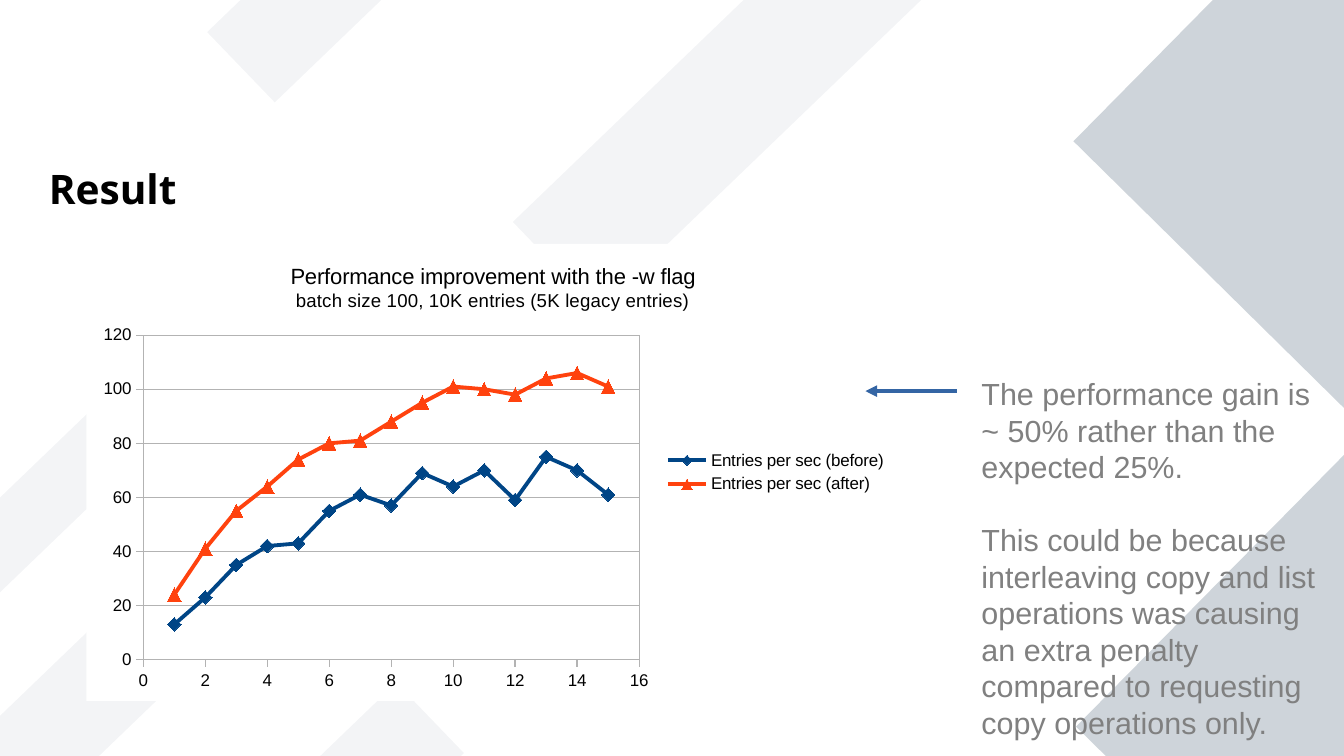
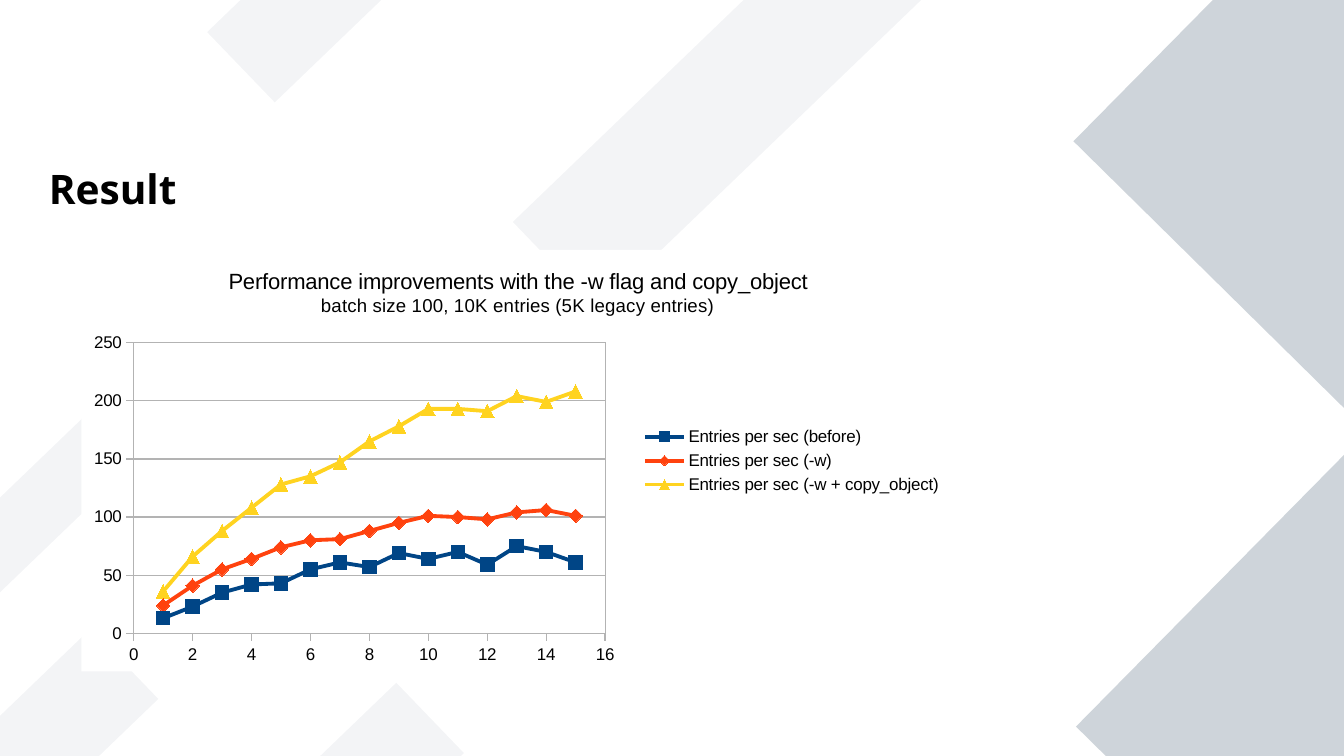
from lxml import etree
from pptx import Presentation
from pptx.chart.data import XyChartData
from pptx.dml.color import RGBColor
from pptx.enum.chart import XL_CHART_TYPE, XL_LEGEND_POSITION, XL_MARKER_STYLE, XL_TICK_MARK
from pptx.enum.shapes import MSO_CONNECTOR, MSO_SHAPE
from pptx.enum.text import MSO_ANCHOR, MSO_AUTO_SIZE, PP_ALIGN
from pptx.oxml import parse_xml
from pptx.oxml.ns import nsdecls, qn
from pptx.util import Pt

SCATTER = XL_CHART_TYPE.XY_SCATTER_LINES
RIGHT = XL_LEGEND_POSITION.RIGHT
OUTSIDE, NO_TICK = XL_TICK_MARK.OUTSIDE, XL_TICK_MARK.NONE
SQUARE, DIAMOND, TRIANGLE = XL_MARKER_STYLE.SQUARE, XL_MARKER_STYLE.DIAMOND, XL_MARKER_STYLE.TRIANGLE
RECTANGLE, STRAIGHT = MSO_SHAPE.RECTANGLE, MSO_CONNECTOR.STRAIGHT
TOP, LEFT, NO_FIT = MSO_ANCHOR.TOP, PP_ALIGN.LEFT, MSO_AUTO_SIZE.NONE

WHITE, BLACK, GRAY = "FFFFFF", "000000", "808080"
DIAMOND_GRAY, BAND_BLUE, GRID_GRAY, ARROW_BLUE = "CED4DA", "8D99AE", "B3B3B3", "3465A4"
NAVY, ORANGE, YELLOW = "004586", "FF420E", "FFD320"

TITLE_FONT = {"name": "Noto Sans", "size": Pt(24), "bold": True}
NOTE_FONT = {"name": "Arial", "size": Pt(18), "bold": False}
CHART_FONT = {"name": "Arial", "size": Pt(10), "bold": False}
CHART_TITLE_SIZES = (13, 11)


def color(hex_string):
    return RGBColor.from_string(hex_string)


def style_font(font, settings, hex_string):
    for name, value in settings.items():
        setattr(font, name, value)
    font.color.rgb = color(hex_string)


# left, top, width, height, rotation, fill, opacity in percent
DECORATIONS = [
    (681, -31.7, 228, 228, 314.6, DIAMOND_GRAY, 100),
    (682.5, 314, 228, 228, 314.6, DIAMOND_GRAY, 100),
    (78.5, 466, 204, 57.6, 316.1, BAND_BLUE, 10),
    (-102, 434, 204, 57.6, 316.1, BAND_BLUE, 10),
    (290, 26.6, 272, 72.7, 316.1, BAND_BLUE, 10),
    (113.8, -59.8, 204, 57.6, 316.1, BAND_BLUE, 10),
    (-57.6, 259, 204, 40.3, 316.1, BAND_BLUE, 10),
]

BEFORE = [13, 23, 35, 42, 43, 55, 61, 57, 69, 64, 70, 59, 75, 70, 61]
WITH_FLAG = [24, 41, 55, 64, 74, 80, 81, 88, 95, 101, 100, 98, 104, 106, 101]
WITH_COPY = [36, 66, 88, 108, 128, 135, 147, 165, 178, 193, 193, 191, 204, 199, 208]
SUBTITLE = "batch size 100, 10K entries (5K legacy entries)"

RESULTS = [
    {
        "title": "Performance improvement with the -w flag",
        "frame": (51, 144, 480, 270),
        "plot": {"x": 0.07, "y": 0.2, "w": 0.61, "h": 0.71},
        "top_value": 120,
        "step": 20,
        "series": [
            ("Entries per sec (before)", BEFORE, NAVY, DIAMOND),
            ("Entries per sec (after)", WITH_FLAG, ORANGE, TRIANGLE),
        ],
    },
    {
        "title": "Performance improvements with the -w flag and copy_object",
        "frame": (48, 147.6, 515.5, 249),
        "plot": {"x": 0.06, "y": 0.22, "w": 0.54, "h": 0.69},
        "top_value": 250,
        "step": 50,
        "series": [
            ("Entries per sec (before)", BEFORE, NAVY, SQUARE),
            ("Entries per sec (-w)", WITH_FLAG, ORANGE, DIAMOND),
            ("Entries per sec (-w + copy_object)", WITH_COPY, YELLOW, TRIANGLE),
        ],
    },
]

NOTES = [
    "The performance gain is ~ 50% rather than the expected 25%.",
    "This could be because interleaving copy and list operations was causing an extra penalty "
    "compared to requesting copy operations only.",
]

deck = Presentation()
deck.slide_width, deck.slide_height = Pt(793.5), Pt(446.5)

# Shared layout: title position and background decorations
layout = deck.slide_layouts[5]
layout_title = layout.placeholders[0]
layout_title.left, layout_title.top = Pt(21.6), Pt(93)
layout_title.width, layout_title.height = Pt(590), Pt(51)
pages = [deck.slides.add_slide(layout) for result in RESULTS]

# Layouts cannot add shapes, so each one is made on a page and moved
for index, (left, top, width, height, rotation, fill, opacity) in enumerate(DECORATIONS):
    shape = pages[0].shapes.add_shape(RECTANGLE, Pt(left), Pt(top), Pt(width), Pt(height))
    shape.rotation = rotation
    shape.shadow.inherit = False
    shape.line.fill.background()
    shape.fill.solid()
    shape.fill.fore_color.rgb = color(fill)
    if opacity < 100:
        fill_color = shape._element.spPr.find(".//" + qn("a:srgbClr"))
        etree.SubElement(fill_color, qn("a:alpha"), val=str(opacity * 1000))
    shape.name = f"Decoration {index + 1}"
    shape._element.nvSpPr.cNvPr.set("id", str(20 + index))
    layout.shapes._spTree.insert(2 + index, shape._element)

# Title and chart of each page
for page, result in zip(pages, RESULTS):
    title = page.shapes.title.text_frame
    title.text = "Result"
    title.vertical_anchor, title.auto_size = TOP, NO_FIT
    title.paragraphs[0].alignment = LEFT
    style_font(title.paragraphs[0].runs[0].font, TITLE_FONT, BLACK)

    data = XyChartData()
    for name, values, line_color, marker in result["series"]:
        points = data.add_series(name)
        for x, y in enumerate(values, start=1):
            points.add_data_point(x, y)
    chart = page.shapes.add_chart(SCATTER, *map(Pt, result["frame"]), data).chart
    style_font(chart.font, CHART_FONT, BLACK)

    chart.has_title = True
    heading = chart.chart_title.text_frame
    heading.text = result["title"]
    heading.add_paragraph().text = SUBTITLE
    for para, size in zip(heading.paragraphs, CHART_TITLE_SIZES):
        style_font(para.runs[0].font, {**CHART_FONT, "size": Pt(size)}, BLACK)

    chart.has_legend = True
    chart.legend.position = RIGHT
    chart.legend.include_in_layout = False
    style_font(chart.legend.font, CHART_FONT, BLACK)

    chart.category_axis.has_major_gridlines = False
    chart.value_axis.has_major_gridlines = True
    gridline = chart.value_axis.major_gridlines.format.line
    gridline.color.rgb, gridline.width = color(GRID_GRAY), Pt(0)
    scales = [(chart.category_axis, 16, 2), (chart.value_axis, result["top_value"], result["step"])]
    for axis, maximum, step in scales:
        axis.minimum_scale, axis.maximum_scale, axis.major_unit = 0, maximum, step
        axis.major_tick_mark, axis.minor_tick_mark = OUTSIDE, NO_TICK
        axis.tick_labels.number_format = "0"
        axis.tick_labels.number_format_is_linked = False
        style_font(axis.tick_labels.font, CHART_FONT, BLACK)
        axis.format.line.color.rgb = color(GRID_GRAY)
        axis.format.line.width = Pt(0)

    chart.plots[0].vary_by_categories = False
    for series, (name, values, line_color, marker) in zip(chart.plots[0].series, result["series"]):
        series.smooth = False
        series.format.line.color.rgb = color(line_color)
        series.format.line.width = Pt(2.27)
        series.marker.style, series.marker.size = marker, 8
        series.marker.format.fill.solid()
        series.marker.format.fill.fore_color.rgb = color(line_color)
        series.marker.format.line.color.rgb = color(line_color)

    # White chart area, framed plot area and its fixed place
    chart_part = chart._chartSpace.find(qn("c:chart"))
    plot_area = chart_part.find(qn("c:plotArea"))
    chart_part.addnext(parse_xml(
        f'<c:spPr {nsdecls("c", "a")}><a:solidFill><a:srgbClr val="{WHITE}"/></a:solidFill>'
        "<a:ln><a:noFill/></a:ln></c:spPr>"))
    plot_area.append(parse_xml(
        f'<c:spPr {nsdecls("c", "a")}><a:noFill/><a:ln w="0"><a:solidFill>'
        f'<a:srgbClr val="{GRID_GRAY}"/></a:solidFill></a:ln></c:spPr>'))
    for old_place in plot_area.findall(qn("c:layout")):
        plot_area.remove(old_place)
    place = "".join(f'<c:{side} val="{value}"/>' for side, value in result["plot"].items())
    plot_area.insert(0, parse_xml(
        f'<c:layout {nsdecls("c")}><c:manualLayout><c:layoutTarget val="inner"/>'
        f'<c:xMode val="edge"/><c:yMode val="edge"/>{place}</c:manualLayout></c:layout>'))

# Arrow and explanation beside the first chart
arrow = pages[0].shapes.add_connector(STRAIGHT, Pt(565), Pt(231), Pt(511), Pt(231))
arrow.line.color.rgb, arrow.line.width = color(ARROW_BLUE), Pt(2.3)
etree.SubElement(arrow.line._get_or_add_ln(), qn("a:tailEnd"), type="triangle")
etree.SubElement(arrow._element.spPr, qn("a:effectLst"))

note = pages[0].shapes.add_textbox(Pt(572.4), Pt(218), Pt(216), Pt(209)).text_frame
note.word_wrap = True
for index, text in enumerate(NOTES):
    para = note.paragraphs[0] if index == 0 else note.add_paragraph()
    if index > 0:
        para.space_before = Pt(21.5)
    span = para.add_run()
    span.text = text
    style_font(span.font, NOTE_FONT, GRAY)

deck.save("out.pptx")
